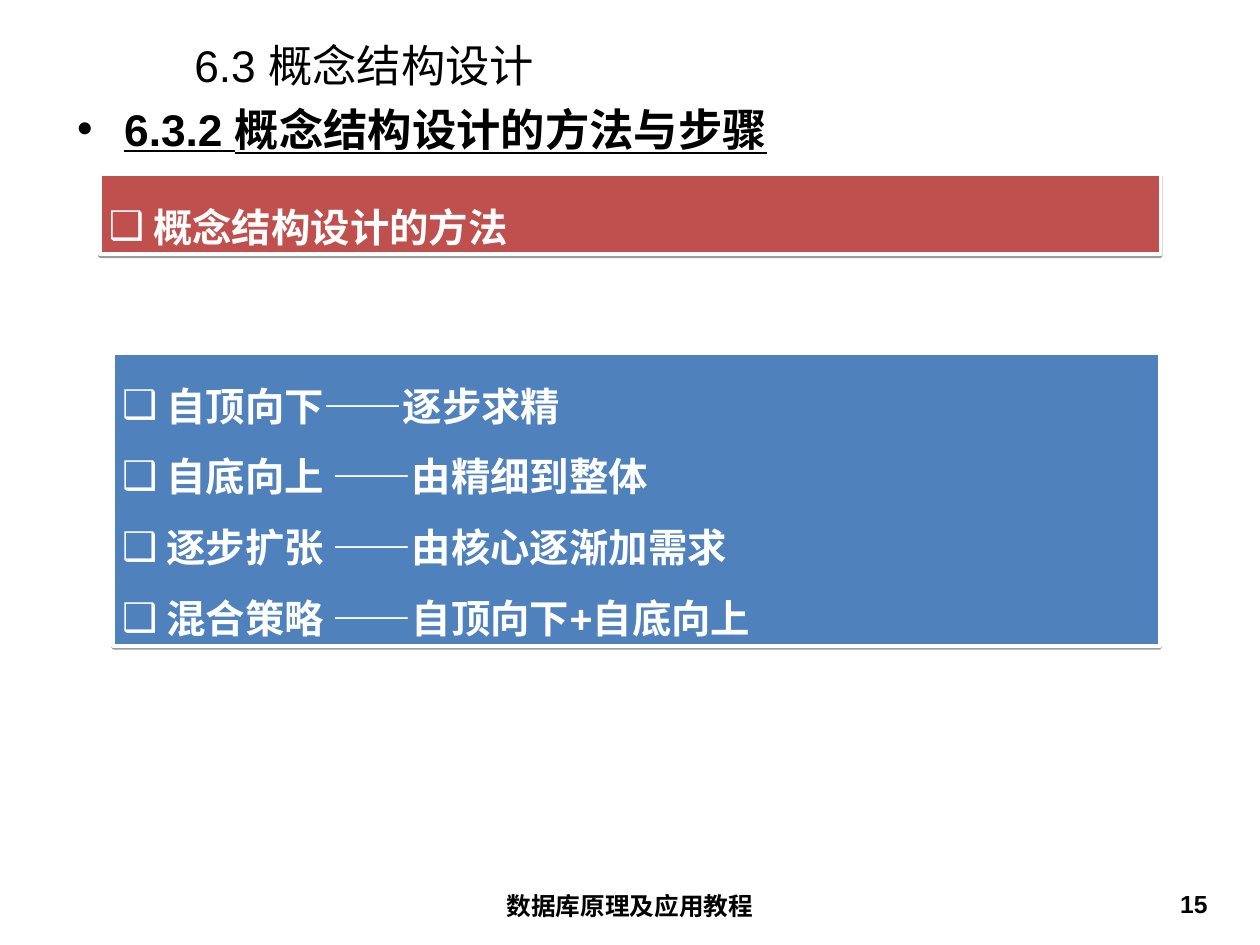
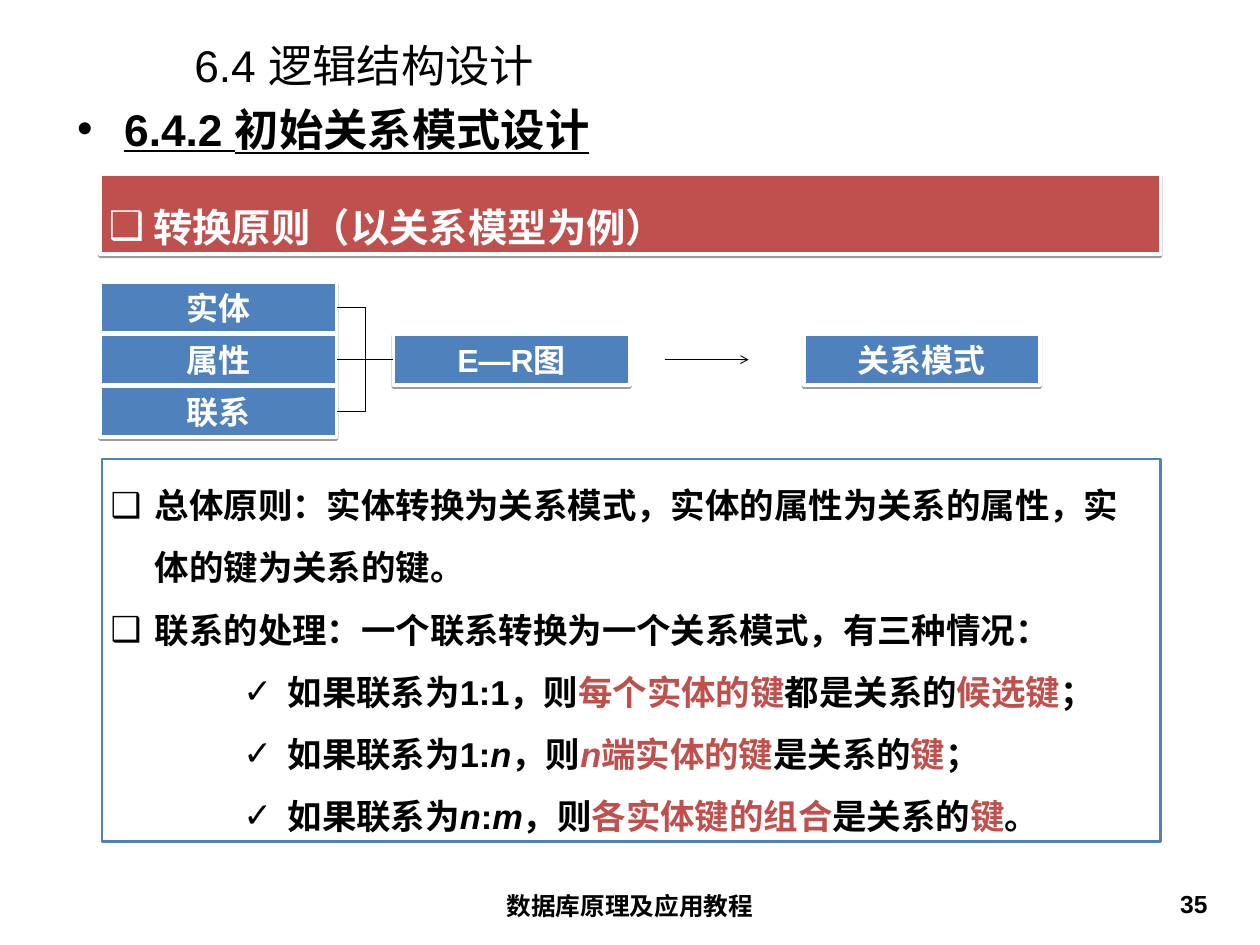
"""Build two lecture slides on database design."""
from dataclasses import dataclass, field
from typing import Any, Optional

from lxml import etree
from pptx import Presentation
from pptx.dml.color import RGBColor
from pptx.enum.shapes import MSO_CONNECTOR, MSO_SHAPE
from pptx.enum.text import MSO_ANCHOR, MSO_AUTO_SIZE, PP_ALIGN
from pptx.oxml.ns import qn
from pptx.util import Cm, Pt

RECT = MSO_SHAPE.RECTANGLE
STRAIGHT, ELBOW = MSO_CONNECTOR.STRAIGHT, MSO_CONNECTOR.ELBOW
TOP, MIDDLE = MSO_ANCHOR.TOP, MSO_ANCHOR.MIDDLE
LEFT, CENTER, RIGHT = PP_ALIGN.LEFT, PP_ALIGN.CENTER, PP_ALIGN.RIGHT
GROW, FIXED = MSO_AUTO_SIZE.SHAPE_TO_FIT_TEXT, MSO_AUTO_SIZE.NONE

BLACK = RGBColor(0x00, 0x00, 0x00)
WHITE = RGBColor(0xFF, 0xFF, 0xFF)
RED = RGBColor(0xC0, 0x50, 0x4D)
BLUE = RGBColor(0x4F, 0x81, 0xBD)

FACE = "Arial"
FOOTER = "数据库原理及应用教程"
SQUARE, CHECK, DOT = "❑", "✓", "•"
WIDE, SLIM = (0.36, 0.18), (0.25, 0.13)
NODE_W, NODE_H, NODE_X, NODE_Y, STEP = 6.78, 1.47, 2.87, 8.08, 1.49


@dataclass(frozen=True)
class Area:
    """A place on the slide in centimetres."""
    left: float
    top: float
    width: float
    height: float

    def spans(self) -> list[int]:
        """Return the four lengths."""
        return [Cm(self.left), Cm(self.top), Cm(self.width), Cm(self.height)]


@dataclass(frozen=True)
class Style:
    """The look of the text in a box."""
    font: dict[str, Any]
    hue: RGBColor = BLACK
    align: Any = LEFT
    anchor: Any = TOP
    inset: tuple[float, float] = WIDE
    fit: Any = FIXED
    hang: float = 1.27
    lines: Optional[float] = None


@dataclass(frozen=True)
class Bit:
    """A stretch of text with its own colour or slant."""
    text: str
    hue: Optional[RGBColor] = None
    slant: bool = False


@dataclass(frozen=True)
class Para:
    """A paragraph with an optional bullet."""
    bits: list[Bit]
    mark: str = ""
    level: int = 0
    indent: float = 1.27


@dataclass(frozen=True)
class Look:
    """The fill and outline of a panel."""
    fill: RGBColor
    line: RGBColor
    weight: float
    shade: bool


@dataclass(frozen=True)
class Page:
    """The wording that changes in the shared frame."""
    title: str
    topic: str
    band: str
    number: str
    extra: list[str] = field(default_factory=list)


def bold(size: int, **more: Any) -> dict[str, Any]:
    """Return the format values of bold text."""
    return {"name": FACE, "size": Pt(size), "bold": True, **more}


TITLE = Style({"name": FACE, "size": Pt(36)}, anchor=MIDDLE)
TOPIC = Style(bold(36, underline=True), hang=1.35)
FOOT = Style(bold(20), align=CENTER)
NUMBER = Style(bold(20), align=RIGHT, inset=SLIM)
ITEM = Style(bold(32), WHITE, inset=SLIM, fit=GROW, lines=1.5)
RULE = Style(bold(28), inset=SLIM, fit=GROW, lines=1.5)
NODE = Style(bold(26), WHITE, CENTER, fit=GROW)

RED_PANEL = Look(RED, WHITE, 3, True)
BLUE_PANEL = Look(BLUE, WHITE, 3, True)
PLAIN = Look(WHITE, BLUE, 2, False)


def plain(text: str, mark: str = "", indent: float = 1.27) -> Para:
    """Return a paragraph of one run."""
    return Para([Bit(text)], mark, indent=indent)


def case(*bits: Bit) -> Para:
    """Return a checked paragraph of the third level."""
    return Para(list(bits), CHECK, 3, 5.08)


def add_mark(para: Any, item: Para, style: Style) -> None:
    """Give a paragraph its bullet and hanging indent."""
    props = para._p.get_or_add_pPr()
    props.set("marL", str(Cm(item.indent)))
    props.set("indent", str(-Cm(style.hang)))
    tint = etree.SubElement(props, qn("a:buClr"))
    etree.SubElement(tint, qn("a:srgbClr"), val=str(style.hue))
    etree.SubElement(props, qn("a:buFont"), typeface=FACE)
    etree.SubElement(props, qn("a:buChar"), char=item.mark)


def write(shape: Any, items: list[Para], style: Style) -> None:
    """Put paragraphs into a shape."""
    frame = shape.text_frame
    across, down = (Cm(size) for size in style.inset)
    values = {"word_wrap": True, "auto_size": style.fit,
              "vertical_anchor": style.anchor,
              "margin_left": across, "margin_right": across,
              "margin_top": down, "margin_bottom": down}
    for key, value in values.items():
        setattr(frame, key, value)
    for index, item in enumerate(items):
        para = frame.add_paragraph() if index else frame.paragraphs[0]
        if item.mark:
            add_mark(para, item, style)
        para.level = item.level
        para.alignment = style.align
        para.line_spacing = style.lines
        for bit in item.bits:
            run = para.add_run()
            run.text = bit.text
            for key, value in {**style.font, "italic": bit.slant}.items():
                setattr(run.font, key, value)
            run.font.color.rgb = bit.hue or style.hue


def add_text(slide: Any, area: Area, item: Para, style: Style) -> None:
    """Add a text box."""
    write(slide.shapes.add_textbox(*area.spans()), [item], style)


def add_panel(slide: Any, area: Area, items: list[Para], style: Style,
              look: Look) -> Any:
    """Add a filled rectangle with text."""
    panel = slide.shapes.add_shape(RECT, *area.spans())
    panel.fill.solid()
    panel.fill.fore_color.rgb = look.fill
    panel.line.color.rgb = look.line
    panel.line.width = Pt(look.weight)
    panel.shadow.inherit = False
    if look.shade:
        effects = panel._element.spPr.find(qn("a:effectLst"))
        shade = etree.SubElement(effects, qn("a:outerShdw"), blurRad="0",
                                 dist=str(Pt(1.6)), dir="5400000",
                                 rotWithShape="0")
        tint = etree.SubElement(shade, qn("a:srgbClr"), val=str(BLACK))
        etree.SubElement(tint, qn("a:alpha"), val="38000")
    write(panel, items, style)
    return panel


def add_node(slide: Any, left: float, top: float, text: str) -> Any:
    """Add a small blue box."""
    area = Area(left, top, NODE_W, NODE_H)
    return add_panel(slide, area, [plain(text)], NODE, BLUE_PANEL)


def add_link(slide: Any, kind: Any, *ends: float) -> Any:
    """Add a thin black connector."""
    link = slide.shapes.add_connector(kind, *(Cm(end) for end in ends))
    link.line.color.rgb = BLACK
    link.line.width = Pt(0.75)
    etree.SubElement(link._element.spPr, qn("a:effectLst"))
    return link


def add_page(deck: Any, page: Page) -> Any:
    """Add a slide with the shared frame."""
    slide = deck.slides.add_slide(deck.slide_layouts[6])
    parts = [
        (Area(5.21, 1.14, 30.05, 1.45), plain(page.title), TITLE),
        (Area(1.85, 2.74, 32.51, 2.26), plain(page.topic, DOT, 1.35), TOPIC),
        (Area(12.34, 25.35, 11.43, 1.4), plain(FOOTER), FOOT),
        (Area(26.44, 25.35, 8.43, 1.4), plain(page.number), NUMBER),
    ]
    for area, item, style in parts:
        add_text(slide, area, item, style)
    add_panel(slide, Area(2.87, 5, 30.4, 2.29), [plain(page.band, SQUARE)],
              ITEM, RED_PANEL)
    return slide


def add_methods(deck: Any) -> None:
    """Add the slide on design methods."""
    slide = add_page(deck, Page("6.3 概念结构设计",
                                "6.3.2 概念结构设计的方法与步骤",
                                "概念结构设计的方法", "15"))
    methods = ["自顶向下——逐步求精", "自底向上 ——由精细到整体",
               "逐步扩张 ——由核心逐渐加需求",
               "混合策略 ——自顶向下+自底向上"]
    add_panel(slide, Area(3.25, 10.13, 30, 8.38),
              [plain(text, SQUARE) for text in methods], ITEM, BLUE_PANEL)


def add_rules(deck: Any) -> None:
    """Add the slide on conversion rules."""
    slide = add_page(deck, Page("6.4 逻辑结构设计", "6.4.2 初始关系模式设计",
                                "转换原则（以关系模型为例）", "35"))
    rules = [
        plain("总体原则：实体转换为关系模式，实体的属性为关系的属性，"
              "实体的键为关系的键。", SQUARE),
        plain("联系的处理：一个联系转换为一个关系模式，有三种情况：", SQUARE),
        case(Bit("如果联系为1:1，则"), Bit("每个实体的键", RED),
             Bit("都是关系的"), Bit("候选键", RED), Bit("；")),
        case(Bit("如果联系为1:"), Bit("n", slant=True), Bit("，则"),
             Bit("n", RED, True), Bit("端实体的键", RED), Bit("是关系的"),
             Bit("键", RED), Bit("；")),
        case(Bit("如果联系为"), Bit("n", slant=True), Bit(":"),
             Bit("m", slant=True), Bit("，则"), Bit("各实体键的组合", RED),
             Bit("是关系的"), Bit("键", RED), Bit("。")),
    ]
    add_panel(slide, Area(2.92, 13.16, 30.35, 10.95), rules, RULE, PLAIN)
    row = NODE_Y + STEP
    chart = add_node(slide, 11.28, row, "E—R图")
    parts = [add_node(slide, NODE_X, NODE_Y + STEP * index, text)
             for index, text in enumerate(["实体", "属性", "联系"])]
    for part in parts:
        kind = STRAIGHT if part.top == chart.top else ELBOW
        link = add_link(slide, kind, 0, 0, 0, 0)
        link.begin_connect(part, 3)
        link.end_connect(chart, 1)
    level = row + NODE_H / 2
    arrow = add_link(slide, STRAIGHT, 19.05, level, 21.46, level)
    etree.SubElement(arrow.line._get_or_add_ln(), qn("a:tailEnd"),
                     type="arrow")
    add_node(slide, 23.04, row, "关系模式")


def main() -> None:
    """Build and save the deck."""
    deck = Presentation()
    deck.slide_width, deck.slide_height = Cm(36.12), Cm(27.08)
    add_methods(deck)
    add_rules(deck)
    deck.save("out.pptx")


if __name__ == "__main__":
    main()
